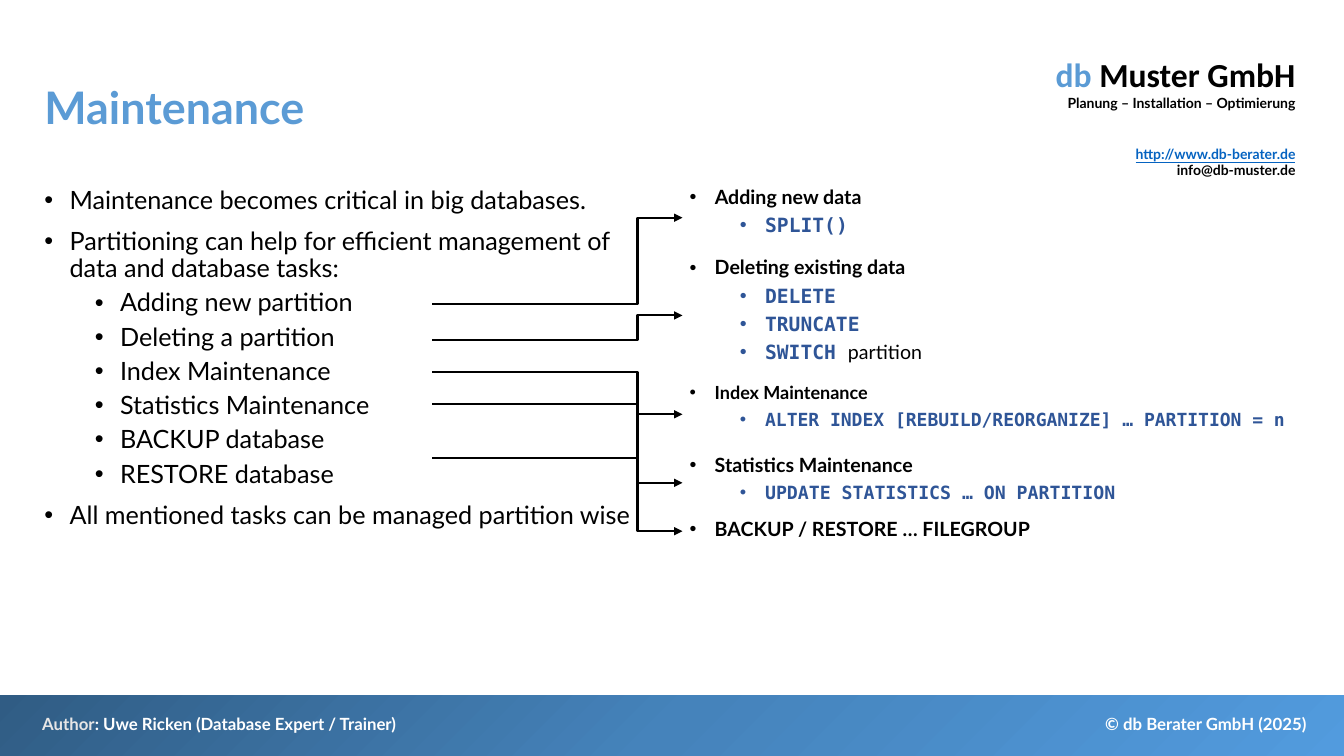
from lxml.etree import SubElement
from pptx import Presentation
from pptx.dml.color import RGBColor
from pptx.enum.shapes import MSO_CONNECTOR, MSO_SHAPE
from pptx.enum.text import MSO_ANCHOR, MSO_AUTO_SIZE, PP_ALIGN
from pptx.oxml import parse_xml
from pptx.oxml.ns import nsdecls, qn
from pptx.util import Inches, Pt

COLORS = {
    "text": "000000", "accent": "5B9BD5", "code": "2F5597", "link": "0563C1",
    "white": "FFFFFF", "grey": "E7E6E6",
    "band_dark": "305C84", "band_mid": "4583BB", "band_light": "529BDE",
}
SANS, MONO, BRAND = "Lato", "DejaVu Sans Mono", "Calibri"
COLUMNS = ROWS = 100
INSETS = (0.07, 0.04)


def write(paragraph, text, size=14, color="text", font=SANS, bold=False, underline=False):
    """Append one formatted run to a paragraph."""
    run = paragraph.add_run()
    run.text = text
    run.font.size = Pt(size)
    run.font.name = font
    run.font.bold = bold
    run.font.underline = underline
    run.font.color.rgb = RGBColor.from_string(COLORS[color])


class SlideBuilder:
    """Places elements on a grid of 100 columns by 100 rows."""

    def __init__(self, deck, layout):
        self.column = deck.slide_width / COLUMNS
        self.row = deck.slide_height / ROWS
        self.slide = deck.slides.add_slide(deck.slide_layouts[layout])
        self.shapes = self.slide.shapes

    def grid(self, left, top, width, height):
        return (round(left * self.column), round(top * self.row),
                round(width * self.column), round(height * self.row))

    def box(self, area, placeholder=None, insets=(0.1, 0.05), anchor=MSO_ANCHOR.TOP):
        """Return the text frame of a moved placeholder or a new text box."""
        spot = self.grid(*area)
        if placeholder is None:
            holder = self.shapes.add_textbox(*spot)
        else:
            holder = self.slide.placeholders[placeholder]
            holder.left, holder.top, holder.width, holder.height = spot
        frame = holder.text_frame
        frame.word_wrap = True
        frame.auto_size = MSO_AUTO_SIZE.NONE
        frame.vertical_anchor = anchor
        frame.margin_left = frame.margin_right = Inches(insets[0])
        frame.margin_top = frame.margin_bottom = Inches(insets[1])
        return frame

    def lines(self, frame, rows, align=PP_ALIGN.LEFT, spacing=1.0):
        """Write rows of (space before, [(text, format), ...])."""
        for number, (before, runs) in enumerate(rows):
            paragraph = frame.add_paragraph() if number else frame.paragraphs[0]
            paragraph.alignment = align
            paragraph.line_spacing = spacing
            paragraph.space_before = Pt(before)
            for text, style in runs:
                write(paragraph, text, **style)

    def bullets(self, area, items, placeholder=None):
        """Write items of (level, [(text, format), ...]) as a bulleted list."""
        frame = self.box(area, placeholder, INSETS)
        rows = [((5 if level else 10) if number else 0, runs)
                for number, (level, runs) in enumerate(items)]
        self.lines(frame, rows, spacing=0.9)
        for paragraph, (level, _) in zip(frame.paragraphs, items):
            paragraph.level = level
            properties = paragraph._p.get_or_add_pPr()
            properties.set("marL", str(Inches(0.25 + 0.5 * level)))
            properties.set("indent", str(Inches(-0.25)))
            SubElement(properties, qn("a:buFont"), typeface="Arial")
            SubElement(properties, qn("a:buChar"), char="•")

    def band(self, area, stops):
        """Draw a rectangle shaded outward from its top left corner."""
        band = self.shapes.add_shape(MSO_SHAPE.RECTANGLE, *self.grid(*area))
        band.shadow.inherit = False
        band.line.fill.background()
        marks = "".join(f'<a:gs pos="{share * 1000}"><a:srgbClr val="{COLORS[color]}"/></a:gs>'
                        for share, color in stops)
        gradient = parse_xml(
            f'<a:gradFill {nsdecls("a")} rotWithShape="1"><a:gsLst>{marks}</a:gsLst>'
            '<a:path path="circle"><a:fillToRect r="100000" b="100000"/></a:path></a:gradFill>')
        band._element.spPr.find(qn("a:prstGeom")).addnext(gradient)

    def elbow(self, start, end, bend=0.82):
        """Draw a bent arrow that turns at the given share of its width."""
        arrow = self.shapes.add_connector(MSO_CONNECTOR.ELBOW, *self.grid(*start, *end))
        arrow.line.color.rgb = RGBColor.from_string(COLORS["text"])
        arrow.line.width = Pt(1.5)
        properties = arrow._element.spPr
        SubElement(arrow.line._get_or_add_ln(), qn("a:tailEnd"), type="triangle")
        SubElement(properties, qn("a:effectLst"))
        guides = properties.find(qn("a:prstGeom")).get_or_add_avLst()
        SubElement(guides, qn("a:gd"), name="adj1", fmla=f"val {round(bend * 100000)}")


def main():
    deck = Presentation()
    deck.slide_width, deck.slide_height = Inches(13.33), Inches(7.5)
    page = SlideBuilder(deck, layout=3)

    # Company header
    name = dict(size=24, font=BRAND, bold=True)
    detail = dict(size=10, bold=True)
    page.lines(page.box((76.88, 6.53, 20.25, 18)), [
        (0, [("db ", dict(name, color="accent")), ("Muster GmbH", name)]),
        (0, [("Planung – Installation – Optimierung", detail)]),
        (24, [("http://www.db-berater.de", dict(detail, color="link", underline=True))]),
        (0, [("info@db-muster.de", detail)]),
    ], PP_ALIGN.RIGHT)

    # Footer
    page.band((0, 92, 100, 8), [(0, "band_dark"), (50, "band_mid"), (100, "band_light")])
    footer = dict(size=12, bold=True, color="white")
    page.lines(page.box((79.13, 93.73, 18.83, 4)),
               [(0, [("© db Berater GmbH (2025)", footer)])], PP_ALIGN.RIGHT)
    page.lines(page.box((2.4, 93.73, 39.75, 4)),
               [(0, [("Author", dict(footer, color="grey")),
                     (": Uwe Ricken (Database Expert / Trainer)", footer)])])

    # Title
    title = page.box((2.78, 6.53, 74.1, 16.13), 0, INSETS, MSO_ANCHOR.MIDDLE)
    page.lines(title, [(0, [("Maintenance", dict(size=32, color="accent", bold=True))])],
               spacing=0.9)

    # Maintenance tasks
    tasks = [
        (0, "Maintenance becomes critical in big databases."),
        (0, "Partitioning can help for efficient management of data and database tasks:"),
        (1, "Adding new partition"),
        (1, "Deleting a partition"),
        (1, "Index Maintenance"),
        (1, "Statistics Maintenance"),
        (1, "BACKUP database"),
        (1, "RESTORE database"),
        (0, "All mentioned tasks can be managed partition wise"),
    ]
    page.bullets((2.78, 24.27, 46.43, 67.73),
                 [(level, [(text, dict(size=18))]) for level, text in tasks], placeholder=1)

    # Commands: top, height, heading, heading size, command size, (command, remark) pairs
    commands = [
        (24.27, 9.07, "Adding new data", 14, 14, [("SPLIT()", "")]),
        (33.6, 16.4, "Deleting existing data", 14, 14,
         [("DELETE", ""), ("TRUNCATE", ""), ("SWITCH ", "partition")]),
        (50.27, 9.07, "Index Maintenance", 12.9, 12.9,
         [("ALTER INDEX [REBUILD/REORGANIZE] … PARTITION = n", "")]),
        (59.73, 8.4, "Statistics Maintenance", 14, 13,
         [("UPDATE STATISTICS … ON PARTITION", "")]),
        (68.13, 4.27, "BACKUP / RESTORE … FILEGROUP", 14, 14, []),
    ]
    for number, (top, height, heading, size, code_size, statements) in enumerate(commands):
        items = [(0, [(heading, dict(size=size, bold=True))])]
        for code, remark in statements:
            runs = [(code, dict(size=code_size, font=MONO, color="code", bold=True))]
            if remark:
                runs.append((remark, dict(size=code_size)))
            items.append((1, runs))
        page.bullets((50.78, top, 46.43, height), items, None if number else 2)

    # Arrows from tasks to commands
    for task_row, command_row in [(40.27, 28.8), (44.93, 41.73), (49.2, 54.8),
                                  (53.47, 63.87), (60.53, 70.27)]:
        page.elbow((32.18, task_row), (50.78, command_row))

    deck.save("out.pptx")


if __name__ == "__main__":
    main()
